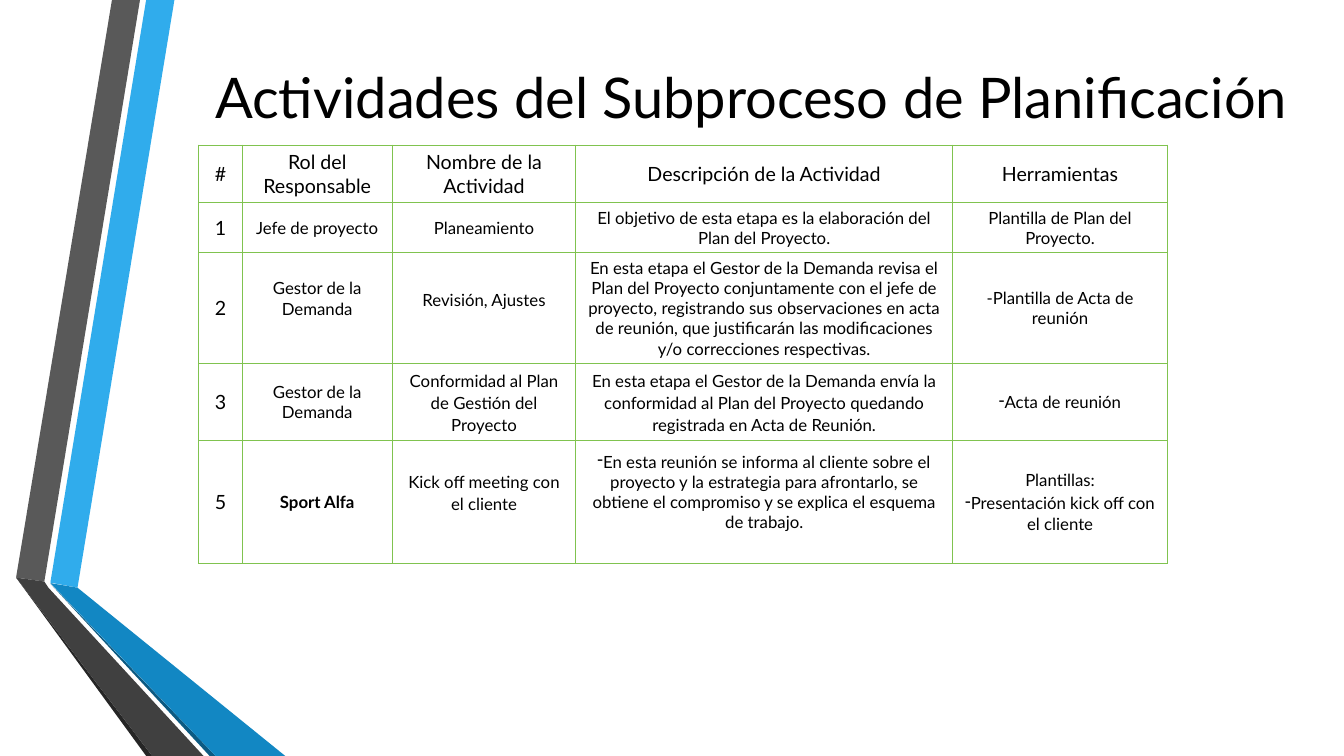
from pptx import Presentation
from pptx.dml.color import RGBColor
from pptx.enum.text import MSO_ANCHOR, PP_ALIGN
from pptx.oxml import parse_xml
from pptx.oxml.ns import nsdecls
from pptx.util import Pt

CENTER = PP_ALIGN.CENTER
MIDDLE = MSO_ANCHOR.MIDDLE
FONT = "Lato"
BLACK = RGBColor(0x00, 0x00, 0x00)
SKY = RGBColor(0x30, 0xAC, 0xEC)
BLUE = RGBColor(0x12, 0x87, 0xC3)
NAVY = RGBColor(0x0C, 0x5A, 0x82)
GREY = RGBColor(0x59, 0x59, 0x59)
DARK_GREY = RGBColor(0x40, 0x40, 0x40)
CHARCOAL = RGBColor(0x26, 0x26, 0x26)
GREEN = RGBColor(0x80, 0xC3, 0x4F)

TITLE = "Actividades del Subproceso de Planificación"
RIBBONS = [
    (SKY, [(36, 416.2), (55.4, 419.8), (124.6, 0), (104.4, 0)]),
    (GREY, [(100, 0), (80, 0), (11.5, 412.6), (31.7, 415.4)]),
    (CHARCOAL, [(11.5, 412.6), (104.4, 540), (108.7, 540)]),
    (NAVY, [(36, 416.9), (149.8, 540), (154.1, 540)]),
    (BLUE, [(36, 416.5), (154.1, 540), (203.8, 540), (55.4, 419.8)]),
    (DARK_GREY, [(145.4, 540), (34.6, 419.8), (31.7, 415.4),
                 (11.5, 412.6), (108.7, 540)]),
]

COLUMN_WIDTHS = [31, 107.3, 131, 269.3, 153.4]
ROW_HEIGHTS = [40.8, 36, 79.2, 54.7, 87.8]
ROWS = [
    ["#", "Rol del Responsable", "Nombre de la Actividad",
     "Descripción de la Actividad", "Herramientas"],
    ["1", "Jefe de proyecto", "Planeamiento",
     "El objetivo de esta etapa es la elaboración del Plan del Proyecto.",
     "Plantilla de Plan del Proyecto."],
    ["2", "Gestor de la Demanda", "Revisión, Ajustes",
     "En esta etapa el Gestor de la Demanda revisa el Plan del Proyecto "
     "conjuntamente con el jefe de proyecto, registrando sus observaciones en "
     "acta de reunión, que justificarán las modificaciones y/o correcciones "
     "respectivas.",
     "-Plantilla de Acta de reunión"],
    ["3", "Gestor de la Demanda", "Conformidad al Plan de Gestión del Proyecto",
     "En esta etapa el Gestor de la Demanda envía la conformidad al Plan del "
     "Proyecto quedando registrada en Acta de Reunión.",
     "• Acta de reunión"],
    ["5", "Sport Alfa", "Kick off meeting con el cliente",
     "• En esta reunión se informa al cliente sobre el proyecto y la estrategia "
     "para afrontarlo, se obtiene el compromiso y se explica el esquema de trabajo.",
     "Plantillas:\n• Presentación kick off con el cliente"],
]
BULLET = "• "
BOLD_CELLS = {(4, 1)}
LOOSE_CELLS = {(2, 2), (3, 2), (3, 3), (4, 2)}
RAISED_CELLS = {(2, 1), (2, 2), (4, 2), (4, 3)}


def format_paragraph(paragraph, size, bold=False):
    paragraph.alignment = CENTER
    for run in paragraph.runs:
        run.font.name = FONT
        run.font.size = Pt(size)
        run.font.bold = bold
        run.font.color.rgb = BLACK


def add_dash(paragraph):
    properties = paragraph._p.get_or_add_pPr()
    properties.set("marL", "0")
    properties.set("indent", "0")
    properties.append(parse_xml(f"<a:buFontTx {nsdecls('a')}/>"))
    properties.append(parse_xml(f'<a:buChar {nsdecls("a")} char="-"/>'))


def add_borders(cell):
    properties = cell._tc.get_or_add_tcPr()
    for index, side in enumerate(("lnL", "lnR", "lnT", "lnB")):
        properties.insert(index, parse_xml(
            f'<a:{side} {nsdecls("a")} w="{Pt(1)}"><a:solidFill>'
            f'<a:srgbClr val="{GREEN}"/></a:solidFill></a:{side}>'))


def fill_cell(cell, position, text):
    row, column = position
    size = 14 if row == 0 or column == 0 else 12
    cell.fill.background()
    add_borders(cell)
    cell.vertical_anchor = MIDDLE
    cell.margin_left = cell.margin_right = Pt(7.2)
    cell.margin_top = Pt(3.6)
    cell.margin_bottom = Pt(17.6 if position in RAISED_CELLS else 3.6)
    lines = text.split("\n")
    cell.text_frame.text = "\n".join(line.removeprefix(BULLET) for line in lines)
    for index, paragraph in enumerate(cell.text_frame.paragraphs):
        format_paragraph(paragraph, size, position in BOLD_CELLS)
        if position in LOOSE_CELLS:
            paragraph.line_spacing = 1.1
        if index:
            paragraph.space_before = Pt(0.2 * size)
        if lines[index].startswith(BULLET):
            add_dash(paragraph)


presentation = Presentation()
presentation.slide_width = Pt(960)
presentation.slide_height = Pt(540)
slide = presentation.slides.add_slide(presentation.slide_layouts[6])

for color, points in RIBBONS:
    start, *others = [(Pt(x), Pt(y)) for x, y in points]
    builder = slide.shapes.build_freeform(*start)
    builder.add_line_segments(others, close=True)
    ribbon = builder.convert_to_shape()
    ribbon.shadow.inherit = False
    ribbon.fill.solid()
    ribbon.fill.fore_color.rgb = color
    ribbon.line.fill.background()

title = slide.shapes.add_textbox(Pt(142), Pt(0), Pt(789), Pt(138))
title.text_frame.word_wrap = True
title.text_frame.vertical_anchor = MIDDLE
title.text_frame.text = TITLE
format_paragraph(title.text_frame.paragraphs[0], 40)

table = slide.shapes.add_table(
    len(ROWS), len(COLUMN_WIDTHS), Pt(142), Pt(103.7),
    Pt(sum(COLUMN_WIDTHS)), Pt(sum(ROW_HEIGHTS))).table
table.first_row = table.horz_banding = False
for column, width in zip(table.columns, COLUMN_WIDTHS):
    column.width = Pt(width)
for row_index, texts in enumerate(ROWS):
    table.rows[row_index].height = Pt(ROW_HEIGHTS[row_index])
    for column_index, text in enumerate(texts):
        fill_cell(table.cell(row_index, column_index),
                  (row_index, column_index), text)

presentation.save("out.pptx")
